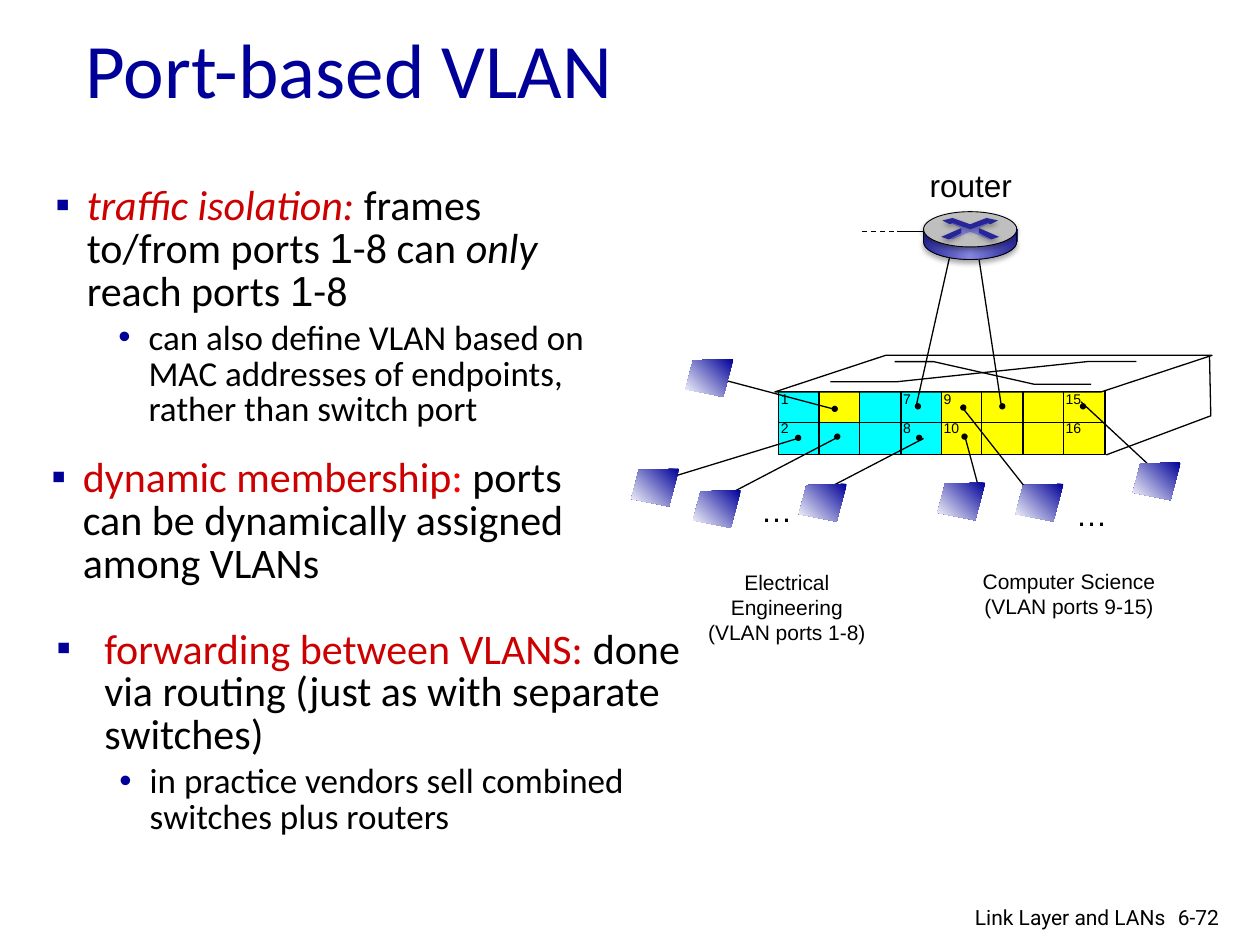
"""Build the port-based VLAN slide."""
from copy import deepcopy
from dataclasses import dataclass
from typing import NamedTuple

from lxml import etree
from pptx import Presentation
from pptx.dml.color import RGBColor
from pptx.enum import dml, shapes, text
from pptx.oxml import ns
from pptx.util import Emu, Pt

PX = 9144
BLACK = RGBColor(0x00, 0x00, 0x00)
WHITE = RGBColor(0xFF, 0xFF, 0xFF)
NAVY = RGBColor(0x00, 0x00, 0x99)
RED = RGBColor(0xCC, 0x00, 0x00)
BRIGHT_RED = RGBColor(0xFF, 0x00, 0x00)
CYAN = RGBColor(0x00, 0xFF, 0xFF)
YELLOW = RGBColor(0xFF, 0xFF, 0x00)
GRAY = RGBColor(0xBF, 0xBF, 0xBF)
INDIGO = RGBColor(0x26, 0x26, 0x99)
LAVENDER = RGBColor(0x85, 0x85, 0xE0)
KIND = shapes.MSO_SHAPE
ALIGN = text.PP_ALIGN


class Span(NamedTuple):
    words: str
    color: RGBColor = BLACK
    italic: bool = False
    font: str = "Calibri"


class Point(NamedTuple):
    x: int
    y: int


class Box(NamedTuple):
    left: int
    top: int
    width: int
    height: int

    def emu(self) -> list[Emu]:
        return [Emu(side * PX) for side in self]


@dataclass(frozen=True)
class Bullet:
    spans: list[Span]
    margin: int = 25
    hang: int = 25
    mark: str = "▪"
    size: int = 24
    level: int = 0


@dataclass(frozen=True)
class Host:
    corner: Point
    dot: Point
    port_end: Point
    host_end: Point


SWITCH = Box(618, 310, 259, 51)
ROW_SPLIT = 335
LABELED_PORTS = [1, 2, 7, 8, 9, 10, 15, 16]
HOSTS = [
    Host(Point(501, 372), Point(631, 345), Point(633, 348), Point(535, 378)),
    Host(Point(550, 389), Point(662, 344), Point(665, 347), Point(577, 393)),
    Host(Point(634, 384), Point(727, 345), Point(733, 348), Point(656, 388)),
    Host(Point(744, 383), Point(763, 344), Point(766, 347), Point(777, 388)),
    Host(Point(806, 384), Point(762, 321), Point(765, 325), Point(817, 391)),
    Host(Point(899, 367), Point(857, 320), Point(858, 319), Point(915, 372)),
    Host(Point(544, 285), Point(660, 322), Point(663, 325), Point(576, 302)),
]
SCREEN = [(38, 0), (6, 1), (0, 24), (30, 30)]
CHASSIS_SIDE = [(878, 361), (961, 330), (960, 282)]
CHASSIS_TRACES = [
    [(659, 303), (712, 303), (863, 287), (902, 287)],
    [(710, 287), (741, 287), (821, 305), (866, 305)],
]
ROUTER_CROSS = [(770, 184), (756, 190), (752, 189), (763, 185), (763, 181), (754, 177), (757, 177), (770, 182),
                (783, 176), (786, 177), (777, 181), (779, 186), (788, 189), (785, 190)]
ROUTER_ARROWS = [
    [(748, 175), (756, 173), (770, 178), (783, 173), (792, 175), (786, 178), (784, 177), (770, 182),
     (756, 177), (754, 178)],
    [(777, 181), (793, 188), (787, 190), (777, 185)],
    [(763, 181), (763, 185), (753, 190), (747, 188)],
]
BODY = [
    (Box(34, 143, 465, 193), [
        Bullet([Span("traffic isolation: ", RED, True), Span("frames to/from ports "), Span("1", font="Arial"),
                Span("-8 can "), Span("only", italic=True), Span(" reach ports "), Span("1", font="Arial"),
                Span("-8")]),
        Bullet([Span("can also define VLAN based on MAC addresses of endpoints, rather than switch port")],
               74, 24, "•", 20, 1),
    ]),
    (Box(31, 359, 444, 176), [
        Bullet([Span("dynamic membership", RED), Span(":", BRIGHT_RED),
                Span(" ports can be dynamically assigned among VLANs")]),
    ]),
    (Box(35, 495, 547, 176), [
        Bullet([Span("forwarding between VLANS: ", RED),
                Span("done via routing (just as with separate switches)")], 38, 38),
        Bullet([Span("in practice vendors sell combined switches plus routers")], 74, 24, "•", 20, 1),
    ]),
]


def paint(shape, fill: RGBColor | None = None, line: float = 0) -> None:
    """Set a plain fill and a black outline, without a shadow."""
    shape.shadow.inherit = False
    if fill is None:
        shape.fill.background()
    else:
        shape.fill.solid()
        shape.fill.fore_color.rgb = fill
    if line:
        shape.line.color.rgb = BLACK
        shape.line.width = Pt(line)
    else:
        shape.line.fill.background()


def blend(shape, colors: list[RGBColor], angle: int) -> None:
    """Fill a shape with evenly spaced gradient colors."""
    shape.fill.gradient()
    shape.fill.gradient_angle = angle
    stops = shape.element.spPr.find(".//" + ns.qn("a:gsLst"))
    for _ in colors[2:]:
        stops.append(deepcopy(stops[0]))
    for index, (stop, color) in enumerate(zip(shape.fill.gradient_stops, colors)):
        stop.position = index / (len(colors) - 1)
        stop.color.rgb = color


def cast_shadow(shape) -> None:
    """Add a soft shadow below a shape."""
    effects = shape.element.spPr.find(ns.qn("a:effectLst"))
    outer = etree.SubElement(effects, ns.qn("a:outerShdw"), blurRad="39370", dist="22860", dir="5400000")
    tone = etree.SubElement(outer, ns.qn("a:srgbClr"), val="000000")
    etree.SubElement(tone, ns.qn("a:alpha"), val="35000")


def add_block(slide, kind, box: Box, fill: RGBColor | None = None, line: float = 0):
    """Draw a preset shape."""
    block = slide.shapes.add_shape(kind, *box.emu())
    paint(block, fill, line)
    return block


def add_outline(slide, points, fill: RGBColor | None = None, line: float = 0, close: bool = True):
    """Draw a freeform through the points."""
    builder = slide.shapes.build_freeform(*points[0], scale=PX)
    builder.add_line_segments(points[1:], close=close)
    outline = builder.convert_to_shape()
    paint(outline, fill, line)
    return outline


def add_wire(slide, start, end, width: float = 0.75):
    """Draw a straight black line."""
    wire = slide.shapes.add_connector(shapes.MSO_CONNECTOR.STRAIGHT, *[Emu(v * PX) for v in (*start, *end)])
    wire.line.color.rgb = BLACK
    wire.line.width = Pt(width)
    etree.SubElement(wire.element.spPr, ns.qn("a:effectLst"))
    return wire


def add_label(slide, box: Box, words: str, size: int, align=ALIGN.LEFT, font: str = "Arial",
              wrap: bool = False) -> None:
    """Write a black label."""
    frame = slide.shapes.add_textbox(*box.emu()).text_frame
    frame.word_wrap = wrap
    frame.text = words
    for paragraph in frame.paragraphs:
        paragraph.alignment = align
        for run in paragraph.runs:
            run.font.name, run.font.size, run.font.color.rgb = font, Pt(size), BLACK


def add_bullets(slide, box: Box, bullets: list[Bullet]) -> None:
    """Write a box of bulleted paragraphs."""
    frame = slide.shapes.add_textbox(*box.emu()).text_frame
    frame.word_wrap = True
    for index, bullet in enumerate(bullets):
        paragraph = frame.add_paragraph() if index else frame.paragraphs[0]
        paragraph.level = bullet.level
        paragraph.line_spacing = 0.85
        if index:
            paragraph.space_before = Pt(4)
        props = paragraph._p.get_or_add_pPr()
        props.set("marL", str(bullet.margin * PX))
        props.set("indent", str(-bullet.hang * PX))
        tint = etree.SubElement(props, ns.qn("a:buClr"))
        etree.SubElement(tint, ns.qn("a:srgbClr"), val=str(NAVY))
        etree.SubElement(props, ns.qn("a:buFont"), typeface="Arial")
        etree.SubElement(props, ns.qn("a:buChar"), char=bullet.mark)
        for span in bullet.spans:
            run = paragraph.add_run()
            run.text = span.words
            run.font.name, run.font.size = span.font, Pt(bullet.size)
            run.font.color.rgb, run.font.italic = span.color, span.italic


def add_dot(slide, corner: Point) -> None:
    """Mark a used port."""
    add_block(slide, KIND.OVAL, Box(*corner, 5, 5), BLACK)


def add_switch(slide) -> None:
    """Draw the switch with its two rows of ports."""
    left, top, width, height = SWITCH
    columns = [left + width * index // 8 for index in range(9)]
    for start, end, bottom, color in [(0, 4, top + height, CYAN), (4, 8, top + height, YELLOW),
                                      (1, 2, ROW_SPLIT, YELLOW)]:
        add_block(slide, KIND.RECTANGLE, Box(columns[start], top, columns[end] - columns[start], bottom - top), color)
    front = add_block(slide, KIND.RECTANGLE, SWITCH, line=0.75)
    divider = add_wire(slide, (left, ROW_SPLIT), (left + width, ROW_SPLIT))
    divider.begin_connect(front, 1)
    divider.end_connect(front, 3)
    for x in columns[1:-1]:
        add_wire(slide, (x, top), (x, top + height))
    lid = add_block(slide, KIND.PARALLELOGRAM, Box(615, 282, 347, 29), WHITE, 0.75)
    lid.adjustments[0] = 3.03
    for trace in [CHASSIS_SIDE, *CHASSIS_TRACES]:
        add_outline(slide, trace, line=0.75, close=False)
    for port in LABELED_PORTS:
        column, row = divmod(port - 1, 2)
        add_label(slide, Box(columns[column] - 8, 305 + 23 * row, 26 if port < 10 else 33, 23), str(port), 8)


def add_host(slide, host: Host) -> None:
    """Draw a host and its wire to a port."""
    add_wire(slide, host.port_end, host.host_end)
    add_dot(slide, host.dot)
    screen = add_outline(slide, [(host.corner.x + x, host.corner.y + y) for x, y in SCREEN], WHITE)
    blend(screen, [NAVY, WHITE], 225)


def add_router(slide) -> None:
    """Draw the router and its wires."""
    for dot, start, end in [(Point(726, 320), (727, 323), (755, 198)), (Point(793, 320), (795, 324), (776, 199))]:
        add_dot(slide, dot)
        add_wire(slide, start, end)
    add_wire(slide, (712, 184), (740, 184))
    add_wire(slide, (684, 184), (711, 184)).line.dash_style = dml.MSO_LINE.DASH
    base = add_block(slide, KIND.OVAL, Box(733, 178, 74, 28), INDIGO, 0.5)
    cast_shadow(base)
    wall = add_block(slide, KIND.RECTANGLE, Box(733, 182, 75, 10), INDIGO)
    for part in (base, wall):
        blend(part, [INDIGO, LAVENDER, INDIGO], 0)
    cast_shadow(add_block(slide, KIND.OVAL, Box(733, 168, 74, 28), GRAY, 0.5))
    add_outline(slide, ROUTER_CROSS, LAVENDER)
    for arrow in ROUTER_ARROWS:
        cast_shadow(add_outline(slide, arrow, INDIGO))
    for x in (733, 807):
        add_wire(slide, (x, 193), (x, 182), 0.5)


def main() -> None:
    """Compose and save the slide."""
    deck = Presentation()
    deck.slide_width, deck.slide_height = Emu(1000 * PX), Emu(750 * PX)
    slide = deck.slides.add_slide(deck.slide_layouts[5])
    title = slide.shapes.title
    title.left, title.top, title.width, title.height = Box(58, 25, 850, 58).emu()
    title.text_frame.text = "Port-based VLAN"
    title.text_frame.vertical_anchor = text.MSO_ANCHOR.MIDDLE
    heading = title.text_frame.paragraphs[0]
    heading.alignment = ALIGN.LEFT
    face = heading.runs[0].font
    face.name, face.size, face.color.rgb = "Calibri", Pt(44), NAVY

    add_switch(slide)
    for host in HOSTS:
        add_host(slide, host)
    add_router(slide)
    for box, bullets in BODY:
        add_bullets(slide, box, bullets)
    add_label(slide, Box(728, 127, 86, 40), "router", 18)
    for corner in [Point(594, 385), Point(844, 388)]:
        add_label(slide, Box(*corner, 45, 40), "…", 18)
    add_label(slide, Box(534, 447, 181, 50), "Electrical\vEngineering\n(VLAN ports 1-8)", 12, ALIGN.CENTER)
    add_label(slide, Box(770, 446, 157, 50), "Computer Science\n(VLAN ports 9-15)", 12, ALIGN.CENTER)
    add_label(slide, Box(925, 713, 60, 30), "6-72", 12, font="Roboto", wrap=True)
    add_label(slide, Box(697, 713, 238, 26), "Link Layer and LANs", 12, ALIGN.RIGHT, "Roboto", True)
    deck.save("out.pptx")


if __name__ == "__main__":
    main()
